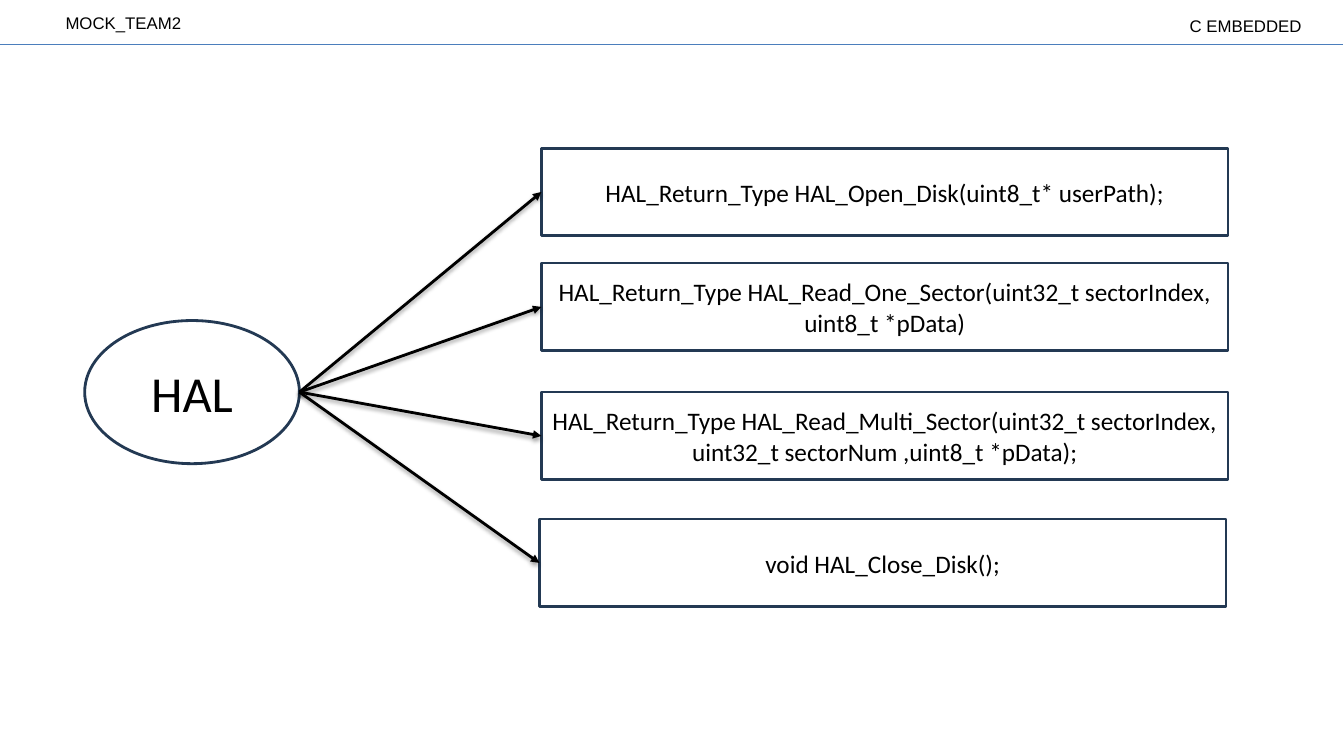
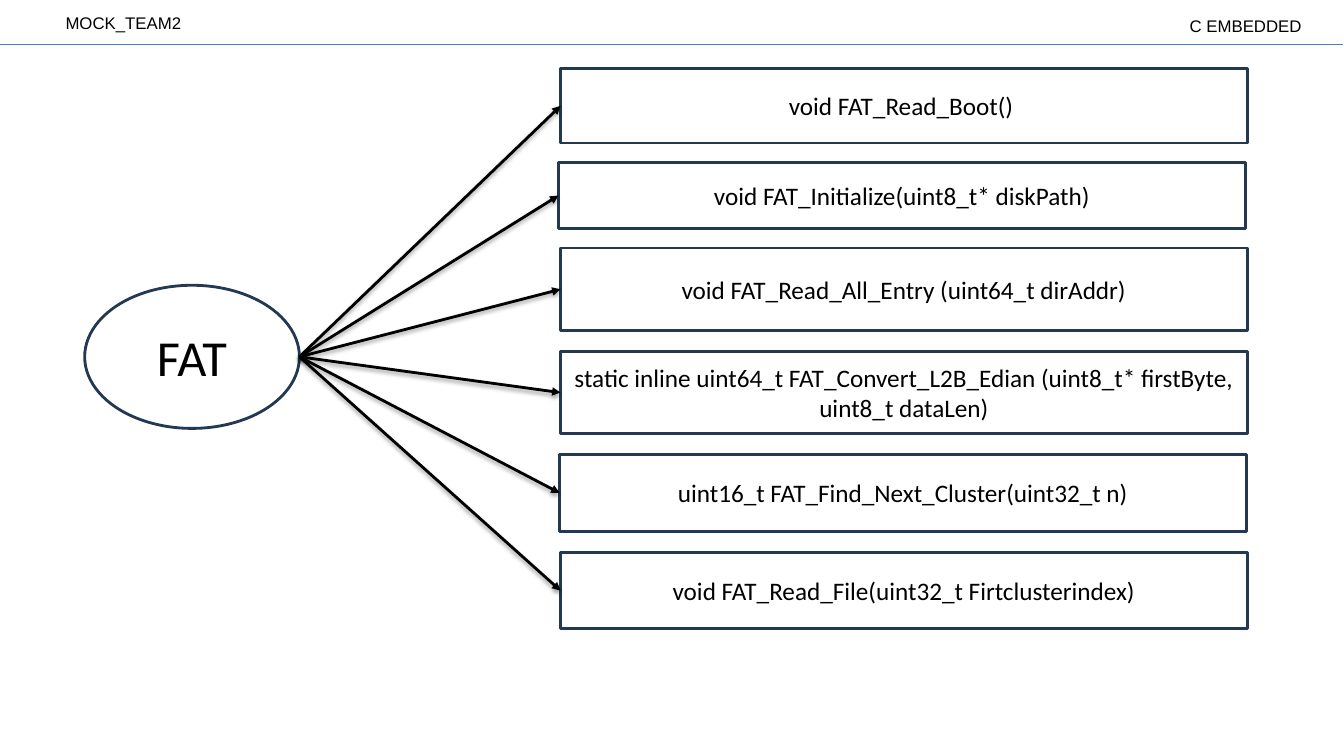
from lxml.etree import SubElement
from pptx import Presentation
from pptx.dml.color import RGBColor
from pptx.enum.shapes import MSO_CONNECTOR as Connector, MSO_SHAPE as Preset
from pptx.enum.text import MSO_ANCHOR as Anchor, MSO_AUTO_SIZE as AutoSize, PP_ALIGN as Align
from pptx.oxml import parse_xml
from pptx.oxml.ns import nsdecls, qn
from pptx.util import Emu, Pt

PX = 9144  # 100 px to the inch
COLORS = {"ink": "000000", "paper": "FFFFFF", "outline": "233953", "rule": "4B7EBC"}
SHADOW = (
    f'<a:effectLst {nsdecls("a")}>'
    '<a:outerShdw blurRad="40000" dist="20000" dir="5400000" rotWithShape="0">'
    f'<a:srgbClr val="{COLORS["ink"]}"><a:alpha val="38000"/></a:srgbClr>'
    '</a:outerShdw></a:effectLst>'
)
NO_EFFECT = f'<a:effectLst {nsdecls("a")}/>'


def px(*lengths):
    return [Emu(length * PX) for length in lengths]


def color(name):
    return RGBColor.from_string(COLORS[name])


class Deck:
    def __init__(self):
        self.prs = Presentation()
        self.prs.slide_width, self.prs.slide_height = px(1333, 750)
        self.shapes = None

    def new_slide(self):
        self.shapes = self.prs.slides.add_slide(self.prs.slide_layouts[6]).shapes
        self.header()

    def header(self):
        self.line((-1, 44), (1332, 44), "rule", 0.75)
        self.label("C EMBEDDED", (769, 12, 529, 68), Align.RIGHT)
        self.label("MOCK_TEAM2", (58, 9, 529, 48), Align.LEFT)

    def add_text(self, frame, text, size, font, align):
        frame.word_wrap = True
        paragraph = frame.paragraphs[0]
        paragraph.alignment = align
        run = paragraph.add_run()
        run.text = text
        run.font.size, run.font.name = Pt(size), font
        run.font.color.rgb = color("ink")

    def label(self, text, box, align):
        frame = self.shapes.add_textbox(*px(*box)).text_frame
        frame.margin_left, frame.margin_top, frame.margin_right, frame.margin_bottom = px(7, 4, 7, 4)
        self.add_text(frame, text, 12, "Arial", align)
        frame.auto_size = AutoSize.SHAPE_TO_FIT_TEXT

    def node(self, preset, text, box, size):
        node = self.shapes.add_shape(preset, *px(*box))
        node.shadow.inherit = False
        node.fill.solid()
        node.fill.fore_color.rgb = color("paper")
        node.line.color.rgb = color("outline")
        node.line.width = Pt(2)
        node.text_frame.vertical_anchor = Anchor.MIDDLE
        self.add_text(node.text_frame, text, size, "Calibri", Align.CENTER)
        return node

    def line(self, start, end, name, width, effect=NO_EFFECT):
        line = self.shapes.add_connector(Connector.STRAIGHT, *px(*start, *end))
        line.line.color.rgb = color(name)
        line.line.width = Pt(width)
        line._element.spPr.append(parse_xml(effect))
        return line

    def arrow(self, start, target):
        arrow = self.line(start, start, "ink", 2, SHADOW)
        arrow.end_connect(target, 1)  # middle of the left side
        SubElement(arrow._element.spPr.find(qn("a:ln")), qn("a:tailEnd"), type="triangle")

    def module(self, name, top, functions):
        """An ellipse for the module, with an arrow to each of its functions."""
        left, width, height = 84, 213, 142
        self.new_slide()
        self.node(Preset.OVAL, name, (left, top, width, height), 36)
        boxes = [self.node(Preset.RECTANGLE, signature, (x, y, 681, h), 18)
                 for x, y, h, signature in functions]
        for box in boxes:
            self.arrow((left + width, top + height // 2), box)


# Module, top of its ellipse, functions as (left, top, height, signature)
MODULES = [
    ("HAL", 318, [
        (537, 147, 87, "HAL_Return_Type HAL_Open_Disk(uint8_t* userPath);"),
        (537, 261, 87, "HAL_Return_Type HAL_Read_One_Sector(uint32_t sectorIndex, uint8_t *pData)"),
        (537, 389, 87, "HAL_Return_Type HAL_Read_Multi_Sector(uint32_t sectorIndex, "
                       "uint32_t sectorNum ,uint8_t *pData);"),
        (535, 515, 87, "void HAL_Close_Disk();"),
    ]),
    ("FAT", 283, [
        (556, 68, 74, "void FAT_Read_Boot() "),
        (554, 161, 66, "void FAT_Initialize(uint8_t* diskPath)"),
        (556, 246, 82, "void FAT_Read_All_Entry (uint64_t dirAddr)"),
        (556, 349, 81, "static inline uint64_t FAT_Convert_L2B_Edian (uint8_t* firstByte, uint8_t dataLen)"),
        (555, 451, 76, "uint16_t FAT_Find_Next_Cluster(uint32_t n)"),
        (556, 548, 76, "void FAT_Read_File(uint32_t Firtclusterindex)"),
    ]),
]


def main():
    deck = Deck()
    for name, top, functions in MODULES:
        deck.module(name, top, functions)
    deck.prs.save("out.pptx")


if __name__ == "__main__":
    main()
